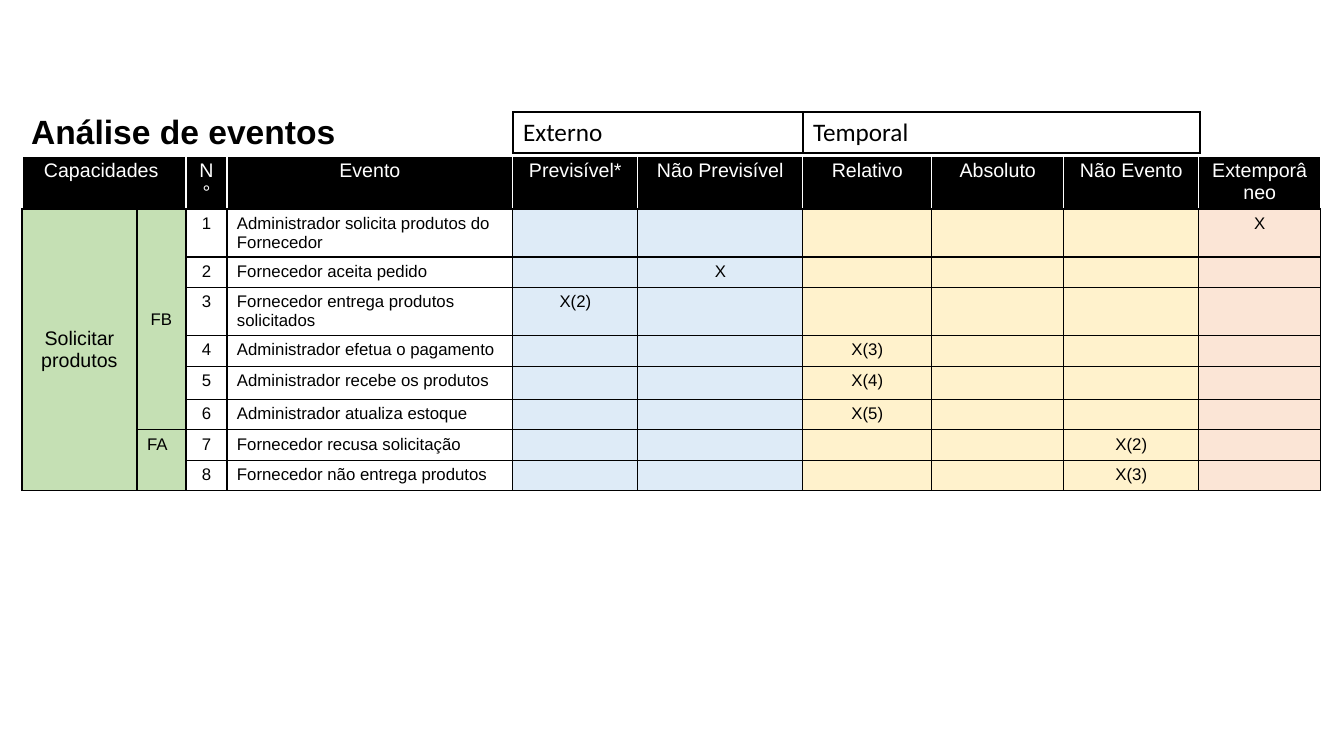
from typing import NamedTuple

from lxml.etree import SubElement
from pptx import Presentation
from pptx.dml.color import RGBColor
from pptx.enum.text import MSO_ANCHOR, PP_ALIGN
from pptx.oxml import parse_xml
from pptx.oxml.ns import nsdecls, qn
from pptx.util import Emu, Pt

SCALE = 914400 / 100.8
HUES = {
    "black": "000000", "white": "FFFFFF", "green": "C5E0B4",
    "blue": "DEEBF7", "yellow": "FFF2CC", "peach": "FBE5D6",
}


class Col(NamedTuple):
    head: str
    width: int
    hue: str


class Event(NamedTuple):
    name: str
    height: int
    mark: str
    col: int


class Group(NamedTuple):
    text: str
    col: int
    first: int
    last: int
    size: int
    align: PP_ALIGN
    anchor: MSO_ANCHOR


COLS = [
    Col("Capacidades ", 115, "green"),
    Col("", 49, "green"),
    Col("N°", 41, "white"),
    Col("Evento", 286, "white"),
    Col("Previsível*", 125, "blue"),
    Col("Não Previsível", 165, "blue"),
    Col("Relativo", 129, "yellow"),
    Col("Absoluto", 132, "yellow"),
    Col("Não Evento", 135, "yellow"),
    Col("Extemporâneo", 122, "peach"),
]
EVENTS = [
    Event("Administrador solicita produtos do Fornecedor", 48, "X", 9),
    Event("Fornecedor aceita pedido", 29, "X", 5),
    Event("Fornecedor entrega produtos solicitados", 48, "X(2)", 4),
    Event("Administrador efetua o pagamento", 29, "X(3)", 6),
    Event("Administrador recebe os produtos", 33, "X(4)", 6),
    Event("Administrador atualiza estoque", 29, "X(5)", 6),
    Event("Fornecedor recusa solicitação", 29, "X(2)", 8),
    Event("Fornecedor não entrega produtos", 29, "X(3)", 8),
]
GROUPS = [
    Group("Solicitar\nprodutos", 0, 1, 8, 14, PP_ALIGN.CENTER, MSO_ANCHOR.MIDDLE),
    Group("FB", 1, 1, 6, 12, PP_ALIGN.CENTER, MSO_ANCHOR.MIDDLE),
    Group("FA", 1, 7, 8, 12, PP_ALIGN.LEFT, MSO_ANCHOR.TOP),
]
TYPES = [Col("Externo", 290, "white"), Col("Temporal", 397, "white")]


def px(n: int) -> Emu:
    return Emu(round(n * SCALE))


def tint(name: str) -> RGBColor:
    return RGBColor.from_string(HUES[name])


def write(frame, text: str, *, size: int = 12, font: str = "Arial", hue: str = "black",
          bold: bool = False, align: PP_ALIGN = PP_ALIGN.LEFT, space: float = 1.0) -> None:
    frame.text = text
    for par in frame.paragraphs:
        par.alignment = align
        par.line_spacing = space
        if not text:
            SubElement(par._p, qn("a:endParaRPr"), sz=str(size * 100))
        for run in par.runs:
            run.font.size = Pt(size)
            run.font.name = font
            run.font.bold = bold
            run.font.color.rgb = tint(hue)


def edge(cell, hue: str = "black") -> None:
    props = cell._tc.get_or_add_tcPr()
    for spot, side in enumerate("LRTB"):
        tone = HUES["black" if side == "B" else hue]
        props.insert(spot, parse_xml(
            f'<a:ln{side} {nsdecls("a")} w="12700"><a:solidFill>'
            f'<a:srgbClr val="{tone}"/></a:solidFill></a:ln{side}>'))


def grid(slide, left: int, top: int, cols: list[Col], rows: list[int]):
    wide = sum(col.width for col in cols)
    table = slide.shapes.add_table(
        len(rows), len(cols), px(left), px(top), px(wide), px(sum(rows))).table
    table.first_row = False
    table.horz_banding = False
    for slot, col in zip(table.columns, cols):
        slot.width = px(col.width)
    for slot, high in zip(table.rows, rows):
        slot.height = px(high)
    return table


def paint(cell, hue: str, line: str = "black") -> None:
    cell.fill.solid()
    cell.fill.fore_color.rgb = tint(hue)
    edge(cell, line)


def draw_main(slide) -> None:
    table = grid(slide, 22, 156, COLS, [53] + [event.height for event in EVENTS])
    for c, col in enumerate(COLS):
        head = table.cell(0, c)
        paint(head, "black", "white")
        head.margin_top = head.margin_bottom = px(4)
        write(head.text_frame, col.head, size=14, hue="white", align=PP_ALIGN.CENTER)
        for r, event in enumerate(EVENTS, 1):
            cell = table.cell(r, c)
            paint(cell, col.hue)
            text = {2: str(r), 3: event.name, event.col: event.mark}.get(c, "")
            align = PP_ALIGN.LEFT if c == 3 else PP_ALIGN.CENTER
            write(cell.text_frame, text, align=align)
    table.cell(0, 0).merge(table.cell(0, 1))
    for group in GROUPS:
        cell = table.cell(group.first, group.col)
        cell.merge(table.cell(group.last, group.col))
        cell.vertical_anchor = group.anchor
        write(cell.text_frame, group.text, size=group.size, align=group.align)


def draw_types(slide) -> None:
    table = grid(slide, 513, 112, TYPES, [41])
    for c, col in enumerate(TYPES):
        cell = table.cell(0, c)
        cell.fill.background()
        edge(cell)
        write(cell.text_frame, col.head, size=18, font="Calibri")


def draw_title(slide) -> None:
    title = slide.shapes.title
    title.left, title.top, title.width, title.height = map(px, (21, 61, 1159, 146))
    title.text_frame.vertical_anchor = MSO_ANCHOR.MIDDLE
    write(title.text_frame, "Análise de eventos", size=24, bold=True, space=0.9)
    slide.shapes._spTree.append(title._element)


deck = Presentation()
deck.slide_width, deck.slide_height = px(1344), px(756)
page = deck.slides.add_slide(deck.slide_layouts[5])
draw_main(page)
draw_types(page)
draw_title(page)
deck.save("out.pptx")
